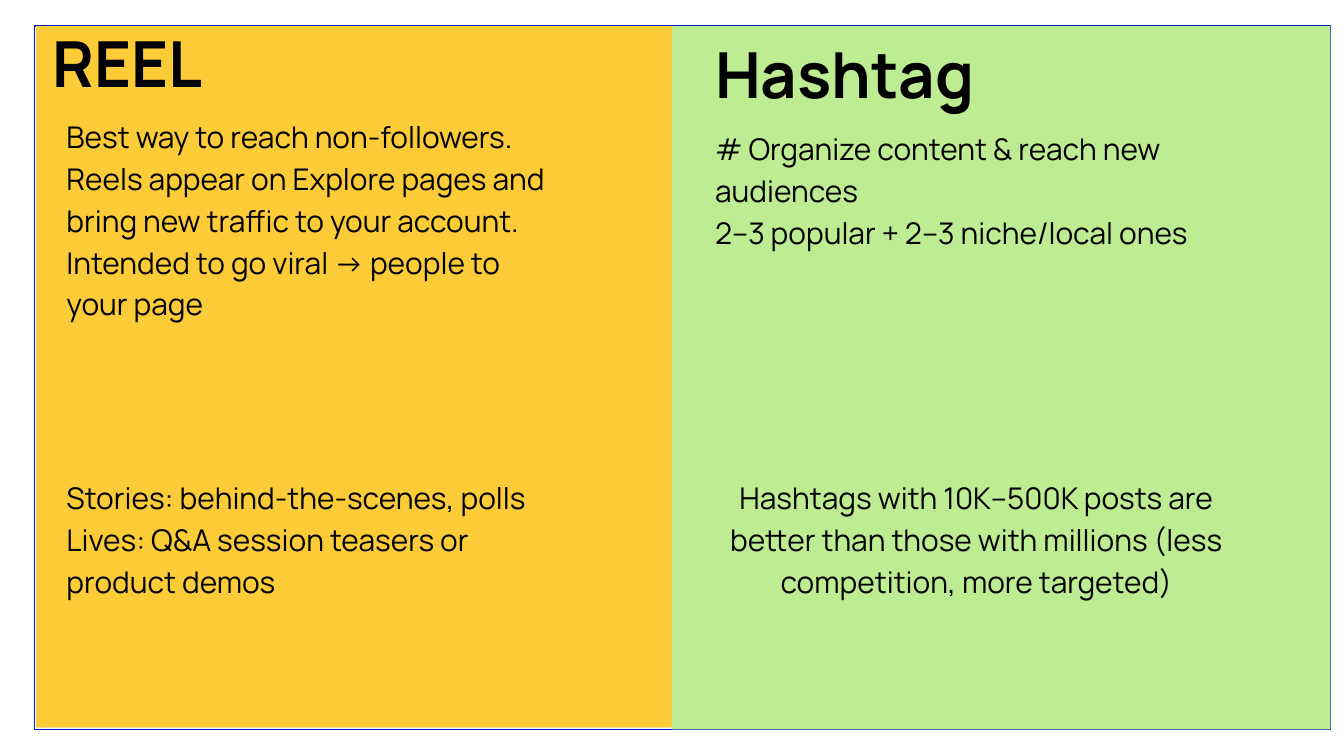
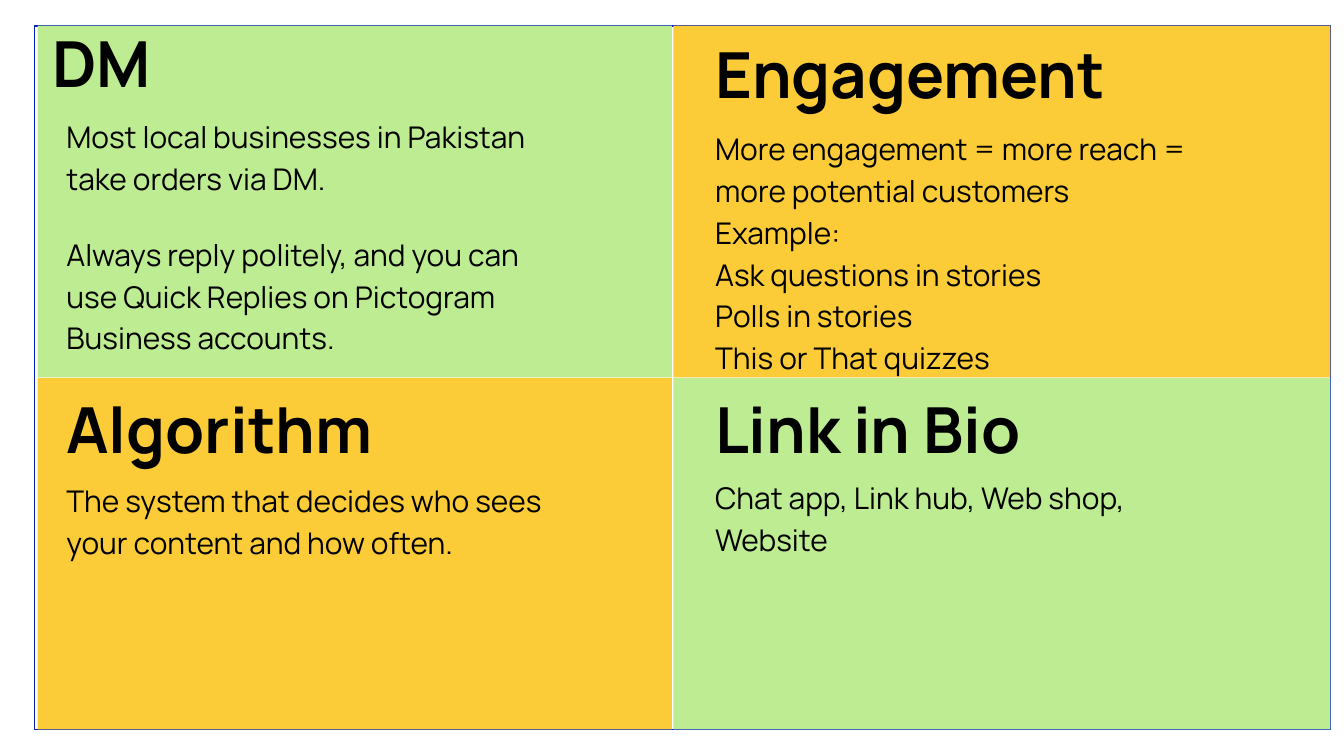
from pptx import Presentation
from pptx.dml.color import RGBColor
from pptx.enum.shapes import MSO_SHAPE as SHAPE
from pptx.enum.text import MSO_AUTO_SIZE as FIT, PP_ALIGN as ALIGN
from pptx.util import Cm, Pt

FONT = "Manrope"
YELLOW, GREEN, WHITE, BLUE, BLACK = "FCCC38", "BEEC92", "FFFFFF", "011FBB", "000000"
FRAME = (1.3, 0.99, 50.29, 27.58)
CORNER, LEFT, RIGHT = 1.98, 2.51, 27.03
TITLE = {"size": 68, "leading": 95.2, "bold": True}
BODY = {"size": 32, "leading": 44.8, "bold": False}

SLIDES = [
    {
        "panels": [
            (YELLOW, 1.37, 0.99, 25.4, 27.51),
            (GREEN, 25.4, 0.99, 50.29, 27.58),
        ],
        "texts": [
            (TITLE, CORNER, 0.43, 9.91, 1, ["REEL"]),
            (BODY, LEFT, 4.27, 18.57, 6, [
                "Best way to reach non-followers.",
                "Reels appear on Explore pages and bring new traffic to your account.",
                "Intended to go viral -> people to your page",
            ]),
            (BODY, LEFT, 17.91, 18.77, 4, [
                "Stories: behind-the-scenes, polls",
                "Lives: Q&A session teasers or product demos",
            ]),
            (TITLE, RIGHT, 0.86, 11.96, 1, ["Hashtag"]),
            (BODY, RIGHT, 4.72, 20.32, 4, [
                "# Organize content & reach new audiences",
                "2–3 popular + 2–3 niche/local ones",
            ]),
            (BODY | {"align": ALIGN.CENTER}, RIGHT, 17.91, 19.76, 3, [
                "Hashtags with 10K–500K posts are better than those with millions "
                "(less competition, more targeted)",
            ]),
        ],
    },
    {
        "panels": [
            (YELLOW, 1.42, 14.29, 25.4, 27.58),
            (GREEN, 25.45, 14.29, 50.29, 27.58),
            (GREEN, 1.42, 0.97, 25.4, 14.27),
            (YELLOW, 25.45, 0.97, 50.29, 14.27),
        ],
        "texts": [
            (BODY, LEFT, 8.71, 18.77, 3, [
                "Always reply politely, and you can use Quick Replies on Pictogram "
                "Business accounts.",
            ]),
            (BODY, LEFT, 4.27, 18.57, 3, [
                "Most local businesses in Pakistan take orders via DM.",
            ]),
            (TITLE, CORNER, 0.43, 9.91, 1, ["DM"]),
            (TITLE, RIGHT, 0.86, 19.76, 2, ["Engagement"]),
            (BODY, RIGHT, 4.72, 20.32, 7, [
                "More engagement = more reach = more potential customers",
                "Example:",
                "Ask questions in stories",
                "Polls in stories",
                "This or That quizzes",
            ]),
            (BODY, LEFT, 18.03, 18.57, 5, [
                "The system that decides who sees your content and how often.",
            ]),
            (TITLE, LEFT, 14.27, 13.72, 1, ["Algorithm"]),
            (TITLE, RIGHT, 14.27, 13.72, 1, ["Link in Bio"]),
            (BODY, RIGHT, 17.91, 18.57, 2, ["Chat app, Link hub, Web shop, Website"]),
        ],
    },
]


def color(value):
    return RGBColor.from_string(value)


def add_panel(slide, fill, left, top, right, bottom, line=None):
    sp = slide.shapes.add_shape(
        SHAPE.RECTANGLE, Cm(left), Cm(top), Cm(right - left), Cm(bottom - top))
    sp.shadow.inherit = False
    sp.fill.solid()
    sp.fill.fore_color.rgb = color(fill)
    if line:
        sp.line.color.rgb = color(line)
        sp.line.width = Pt(1.5)
    else:
        sp.line.fill.background()


def add_text(slide, style, left, top, width, lines, paragraphs):
    height = Pt(style["leading"] * lines)
    tf = slide.shapes.add_textbox(Cm(left), Cm(top), Cm(width), height).text_frame
    tf.margin_left = tf.margin_top = tf.margin_right = tf.margin_bottom = 0
    tf.word_wrap = True
    tf.auto_size = FIT.SHAPE_TO_FIT_TEXT
    for i, text in enumerate(paragraphs):
        p = tf.add_paragraph() if i else tf.paragraphs[0]
        p.alignment = style.get("align", ALIGN.LEFT)
        p.line_spacing = Pt(style["leading"])
        r = p.add_run()
        r.text = text
        r.font.name = FONT
        r.font.size = Pt(style["size"])
        r.font.bold = style["bold"]
        r.font.color.rgb = color(BLACK)


def main():
    """Build the two slides of social media terms."""
    prs = Presentation()
    prs.slide_width, prs.slide_height = Cm(50.8), Cm(28.58)
    for content in SLIDES:
        slide = prs.slides.add_slide(prs.slide_layouts[6])
        add_panel(slide, WHITE, *FRAME, line=BLUE)
        for panel in content["panels"]:
            add_panel(slide, *panel)
        for text in content["texts"]:
            add_text(slide, *text)
    prs.save("out.pptx")


if __name__ == "__main__":
    main()
